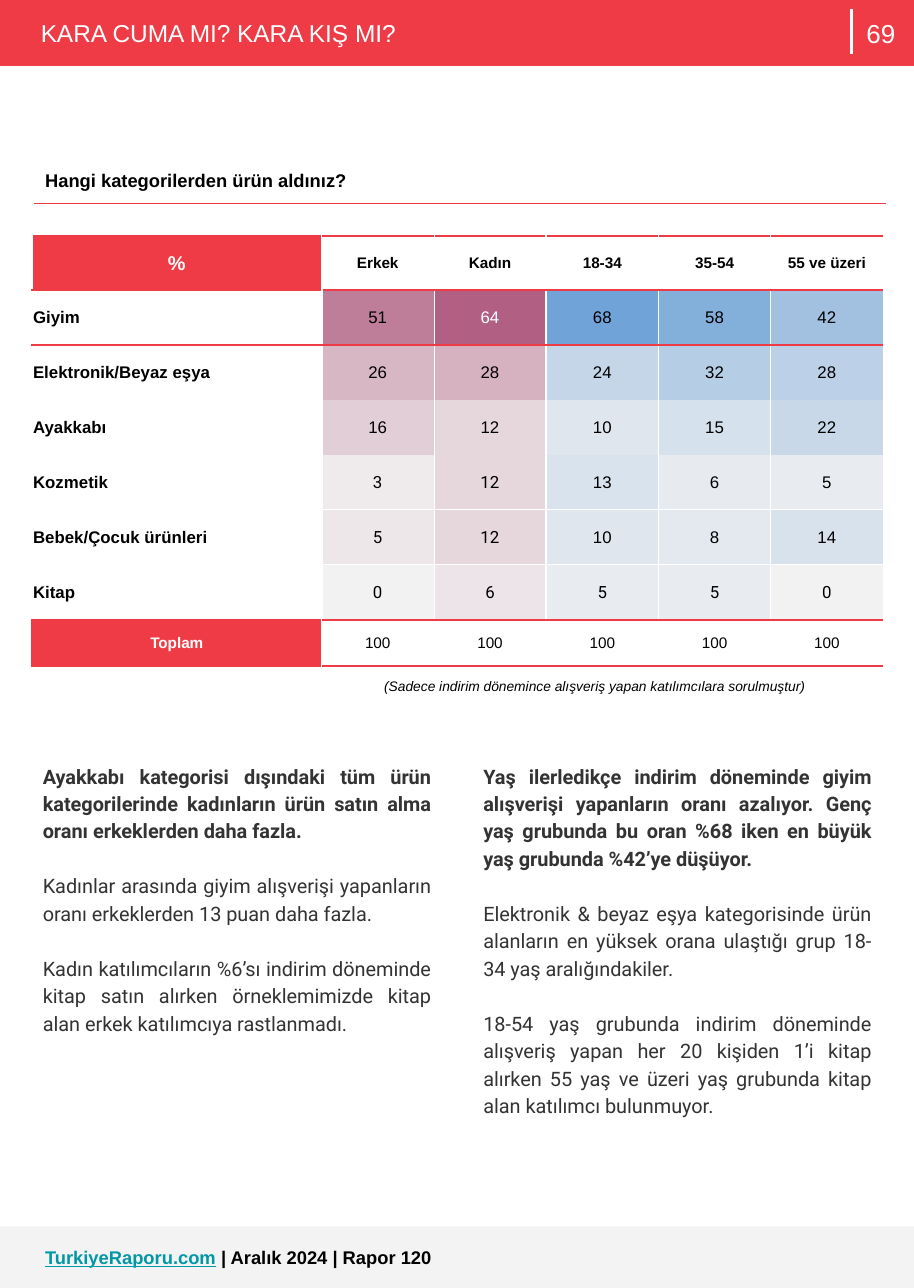
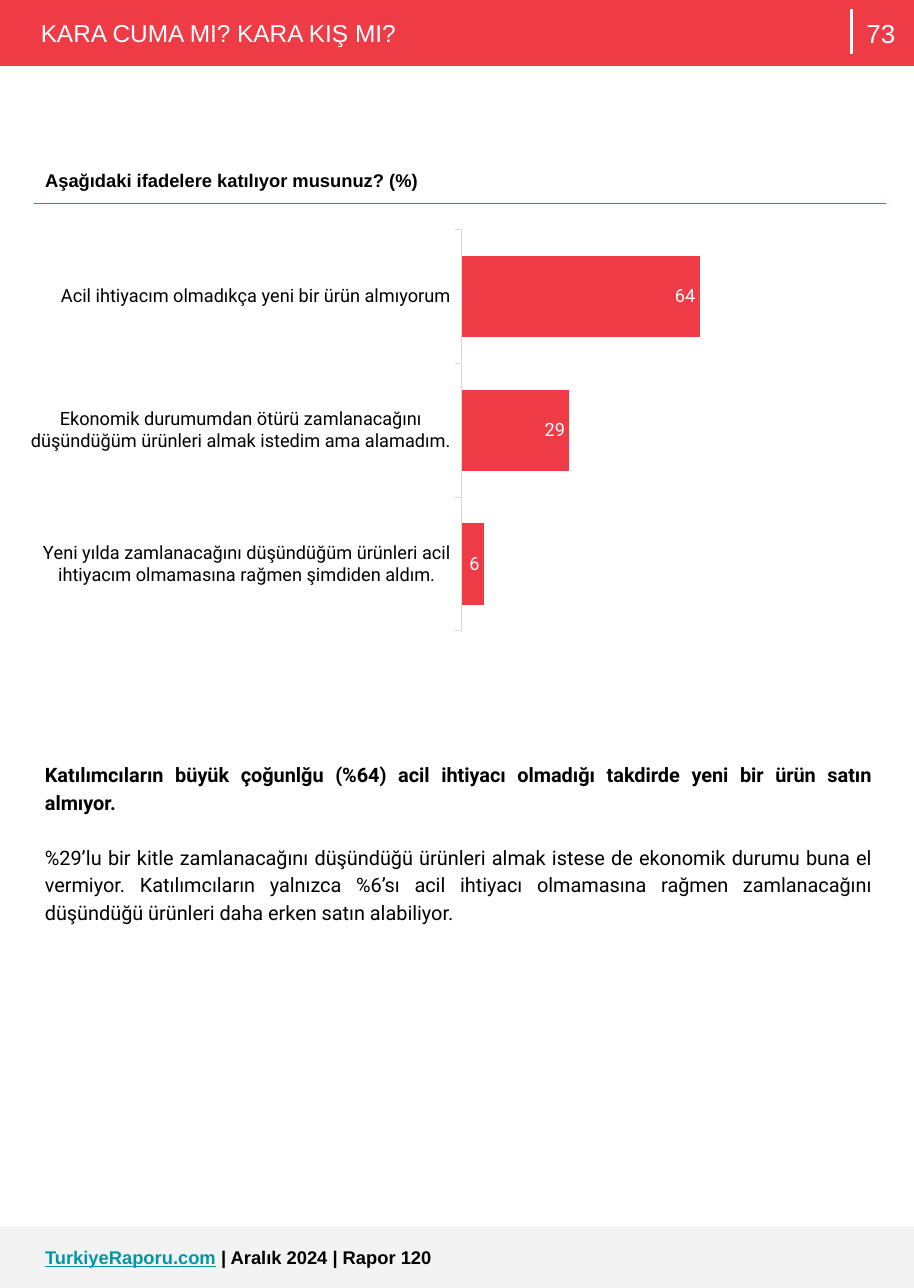
from dataclasses import dataclass, replace
from typing import Optional

from lxml.etree import SubElement
from pptx import Presentation
from pptx.chart.data import CategoryChartData
from pptx.dml.color import RGBColor
from pptx.enum.chart import XL_CHART_TYPE, XL_LABEL_POSITION, XL_TICK_MARK
from pptx.enum.shapes import MSO_CONNECTOR, MSO_SHAPE
from pptx.enum.text import MSO_ANCHOR, MSO_AUTO_SIZE, PP_ALIGN
from pptx.oxml import parse_xml
from pptx.oxml.ns import nsdecls, qn
from pptx.util import Inches, Pt

RED, GRAY, TEAL = "EF3B45", "F3F3F3", "0097A7"
WHITE, BLACK, DARK = "FFFFFF", "000000", "333333"
AXIS_GRAY, HEAT_ZERO = "D9D9D9", "F2F2F2"
PAGE_WIDTH, PAGE_HEIGHT, BAND_HEIGHT = 8.3, 11.7, 0.6
NO_GRID_STYLE = "{2D5ABB26-0587-4C30-8999-92F81FD0307C}"


@dataclass(frozen=True)
class TextStyle:
    size: float
    color: str = BLACK
    font: str = "Arial"
    bold: bool = False
    italic: bool = False
    underline: bool = False
    align: PP_ALIGN = PP_ALIGN.LEFT


@dataclass(frozen=True)
class Box:
    left: float
    top: float
    width: float
    height: float

    def lengths(self):
        return [Inches(n) for n in (self.left, self.top, self.width, self.height)]


@dataclass(frozen=True)
class Border:
    color: str
    width: float


@dataclass(frozen=True)
class HeatScale:
    peak: int
    color: str
    peak_text: str

    def fill(self, value: int) -> str:
        """Blend from the zero colour to the peak colour."""
        pairs = zip(bytes.fromhex(HEAT_ZERO), bytes.fromhex(self.color))
        return "".join(f"{round(a + (b - a) * value / self.peak):02X}" for a, b in pairs)

    def text(self, value: int) -> str:
        return self.peak_text if value == self.peak else BLACK


TITLE = TextStyle(16, WHITE)
PAGE_NUMBER = TextStyle(17, WHITE, align=PP_ALIGN.CENTER)
HEADING = TextStyle(12, bold=True)
LABEL = TextStyle(11, bold=True)
VALUE = TextStyle(11, align=PP_ALIGN.CENTER)
SMALL = TextStyle(10, align=PP_ALIGN.CENTER)
NOTE = TextStyle(9, italic=True)
BODY = TextStyle(13, font="Roboto", align=PP_ALIGN.JUSTIFY)

GENDER_SCALE = HeatScale(64, "B16083", WHITE)
AGE_SCALE = HeatScale(68, "70A3D7", BLACK)
COLUMN_SCALES = [GENDER_SCALE] * 2 + [AGE_SCALE] * 3
HEADERS = ["%", "Erkek", "Kadın", "18-34", "35-54", "55 ve üzeri"]
PURCHASES = {
    "Giyim": [51, 64, 68, 58, 42],
    "Elektronik/Beyaz eşya": [26, 28, 24, 32, 28],
    "Ayakkabı": [16, 12, 10, 15, 22],
    "Kozmetik": [3, 12, 13, 6, 5],
    "Bebek/Çocuk ürünleri": [5, 12, 10, 8, 14],
    "Kitap": [0, 6, 5, 5, 0],
}
ROBOTO_COLUMNS = {"Kozmetik": 2, "Bebek/Çocuk ürünleri": 2, "Kitap": 5}

STATEMENTS = {
    "Acil ihtiyacım olmadıkça yeni bir ürün almıyorum": 64,
    "Ekonomik durumumdan ötürü zamlanacağını düşündüğüm ürünleri almak istedim ama alamadım.": 29,
    "Yeni yılda zamlanacağını düşündüğüm ürünleri acil ihtiyacım olmamasına rağmen şimdiden aldım.": 6,
}

GENDER_TEXT = [
    "Ayakkabı kategorisi dışındaki tüm ürün kategorilerinde kadınların ürün satın alma oranı erkeklerden daha fazla.",
    "Kadınlar arasında giyim alışverişi yapanların oranı erkeklerden 13 puan daha fazla.",
    "Kadın katılımcıların %6’sı indirim döneminde kitap satın alırken örneklemimizde kitap alan erkek "
    "katılımcıya rastlanmadı.",
]
AGE_TEXT = [
    "Yaş ilerledikçe indirim döneminde giyim alışverişi yapanların oranı azalıyor. Genç yaş grubunda bu oran "
    "%68 iken en büyük yaş grubunda %42’ye düşüyor.",
    "Elektronik & beyaz eşya kategorisinde ürün alanların en yüksek orana ulaştığı grup 18-34 yaş aralığındakiler.",
    "18-54 yaş grubunda indirim döneminde alışveriş yapan her 20 kişiden 1’i kitap alırken 55 yaş ve üzeri "
    "yaş grubunda kitap alan katılımcı bulunmuyor.",
]
STATEMENT_TEXT = [
    "Katılımcıların büyük çoğunlğu (%64) acil ihtiyacı olmadığı takdirde yeni bir ürün satın almıyor.",
    "%29’lu bir kitle zamlanacağını düşündüğü ürünleri almak istese de ekonomik durumu buna el vermiyor. "
    "Katılımcıların yalnızca %6’sı acil ihtiyacı olmamasına rağmen zamlanacağını düşündüğü ürünleri daha "
    "erken satın alabiliyor.",
]


def rgb(color: str) -> RGBColor:
    return RGBColor.from_string(color)


def format_font(font, style: TextStyle) -> None:
    font.name, font.size = style.font, Pt(style.size)
    font.bold, font.italic, font.underline = style.bold, style.italic, style.underline
    font.color.rgb = rgb(style.color)


def write(paragraph, text: str, style: TextStyle) -> None:
    """Append one styled run."""
    paragraph.alignment = style.align
    run = paragraph.add_run()
    run.text = text
    format_font(run.font, style)


def set_margins(frame, left: float = 0.1, top: float = 0.1) -> None:
    frame.word_wrap = True
    frame.auto_size = MSO_AUTO_SIZE.NONE
    frame.margin_left, frame.margin_top = Inches(left), Inches(top)
    frame.margin_right = frame.margin_bottom = Inches(0.1)


def add_text(slide, box: Box, text: str, style: TextStyle, anchor=MSO_ANCHOR.TOP) -> None:
    frame = slide.shapes.add_textbox(*box.lengths()).text_frame
    set_margins(frame)
    frame.vertical_anchor = anchor
    write(frame.paragraphs[0], text, style)


def add_body(slide, box: Box, texts: list[str], color: str) -> None:
    """Justified paragraphs led by a bold one."""
    frame = slide.shapes.add_textbox(*box.lengths()).text_frame
    set_margins(frame)
    for index, text in enumerate(texts):
        paragraph = frame.add_paragraph() if index else frame.paragraphs[0]
        paragraph.line_spacing = 1.15
        if index:
            paragraph.space_before = Pt(18)
        write(paragraph, text, replace(BODY, color=color, bold=index == 0))


def add_band(slide, top: float, color: str):
    band = slide.shapes.add_shape(MSO_SHAPE.RECTANGLE, *Box(0, top, PAGE_WIDTH, BAND_HEIGHT).lengths())
    band.shadow.inherit = False
    band.fill.solid()
    band.fill.fore_color.rgb = rgb(color)
    band.line.fill.background()
    return band


def add_plain_table(slide, box: Box, rows: int, columns: int):
    frame = slide.shapes.add_table(rows, columns, *box.lengths())
    next(frame.element.iter(qn("a:tableStyleId"))).text = NO_GRID_STYLE
    frame.table.first_row = frame.table.horz_banding = False
    return frame.table


def format_cell(cell, text: str, style: TextStyle, fill: Optional[str], **borders: Optional[Border]) -> None:
    write(cell.text_frame.paragraphs[0], text, style)
    properties = cell._tc.get_or_add_tcPr()
    for side, tag in (("left", "lnL"), ("right", "lnR"), ("top", "lnT"), ("bottom", "lnB")):
        border = borders.get(side)
        if border:
            line = SubElement(properties, qn(f"a:{tag}"), w=str(int(Pt(border.width))))
            SubElement(SubElement(line, qn("a:solidFill")), qn("a:srgbClr"), val=border.color)
    if fill:
        cell.fill.solid()
        cell.fill.fore_color.rgb = rgb(fill)
    else:
        cell.fill.background()


def add_report_slide(presentation, number: int, question: str):
    """Title band, page number, question and footer."""
    slide = presentation.slides.add_slide(presentation.slide_layouts[5])
    add_band(slide, 0, RED)

    # Title, brought in front of its band
    title = slide.shapes.title
    title.left, title.top, title.width, title.height = Box(0.27, 0.06, 7.4, 0.47).lengths()
    set_margins(title.text_frame)
    title.text_frame.vertical_anchor = MSO_ANCHOR.TOP
    write(title.text_frame.paragraphs[0], "KARA CUMA MI? KARA KIŞ MI?", TITLE)
    slide.shapes.element.append(title.element)

    # Page number and its divider
    add_text(slide, Box(7.73, 0, 0.54, BAND_HEIGHT), str(number), PAGE_NUMBER, MSO_ANCHOR.MIDDLE)
    divider = slide.shapes.add_connector(
        MSO_CONNECTOR.STRAIGHT, Inches(7.73), Inches(0.08), Inches(7.73), Inches(0.49))
    divider.line.color.rgb = rgb(WHITE)
    divider.line.width = Pt(2.25)
    SubElement(divider.element.spPr, qn("a:effectLst"))

    # Question with a red rule below
    table = add_plain_table(slide, Box(0.31, 1.45, 7.74, 0.4), 1, 1)
    cell = table.cell(0, 0)
    cell.margin_left = cell.margin_top = cell.margin_right = cell.margin_bottom = Inches(0.1)
    format_cell(cell, question, HEADING, WHITE, bottom=Border(RED, 1))

    # Footer
    footer = add_band(slide, 11.14, GRAY).text_frame
    set_margins(footer, left=0.41, top=0.18)
    footer.vertical_anchor = MSO_ANCHOR.TOP
    write(footer.paragraphs[0], "TurkiyeRaporu.com", replace(HEADING, color=TEAL, underline=True))
    write(footer.paragraphs[0], " | Aralık 2024 | Rapor 120", HEADING)
    return slide


def add_heat_table(slide) -> None:
    heights = [0.49] + [0.5] * len(PURCHASES) + [0.42]
    widths = [2.63] + [1.02] * len(COLUMN_SCALES)
    table = add_plain_table(slide, Box(0.29, 2.14, sum(widths), sum(heights)), len(heights), len(widths))
    for row, height in zip(table.rows, heights):
        row.height = Inches(height)
    for column, width in zip(table.columns, widths):
        column.width = Inches(width)

    red, thin, thick = Border(RED, 1.5), Border(WHITE, 0.5), Border(WHITE, 1.5)
    last = len(heights) - 1
    contents = [HEADERS, *([name, *values] for name, values in PURCHASES.items()), ["Toplam"] + [100] * 5]
    for row, entries in enumerate(contents):
        is_body = 0 < row < last
        for column, entry in enumerate(entries):
            # Text and fill
            fill = None
            if is_body and column:
                scale = COLUMN_SCALES[column - 1]
                fill = scale.fill(entry)
                font = "Roboto" if column <= ROBOTO_COLUMNS.get(entries[0], 0) else "Arial"
                style = replace(VALUE, color=scale.text(entry), font=font)
            elif is_body:
                style = LABEL
            elif column:
                style = replace(SMALL, bold=row == 0)
            else:
                fill = RED
                style = replace(SMALL, size=10 if row else 13, color=WHITE, bold=True)

            # Borders: red around header and total, white between some body rows
            divided = {4, 5} if column < 3 else {4}
            edges = {0: red, 1: red, last: red, last + 1: red, **{edge + 1: thin for edge in divided}}
            sides = [thin] * (len(widths) + 1)
            sides[0] = red if row == last else Border(WHITE, 1)
            sides[1] = thick if is_body else thin
            sides[3] = thick
            cell = table.cell(row, column)
            cell.vertical_anchor = MSO_ANCHOR.MIDDLE
            cell.margin_left = cell.margin_top = cell.margin_right = Inches(0.01)
            cell.margin_bottom = 0
            format_cell(cell, str(entry), style, fill, left=sides[column], right=sides[column + 1],
                        top=edges.get(row), bottom=edges.get(row + 1))


def add_statement_chart(slide) -> None:
    data = CategoryChartData()
    data.categories = list(STATEMENTS)
    data.add_series("Series 1", list(STATEMENTS.values()))
    box = Box(0.28, 1.93, 7.75, 3.92)
    chart = slide.shapes.add_chart(XL_CHART_TYPE.BAR_CLUSTERED, *box.lengths(), data).chart
    chart.has_legend = chart.has_title = False
    chart_text = TextStyle(12, font="Roboto")
    format_font(chart.font, chart_text)

    # Axes
    categories, values = chart.category_axis, chart.value_axis
    categories.reverse_order = True
    categories.major_tick_mark = XL_TICK_MARK.OUTSIDE
    categories.format.line.color.rgb = rgb(AXIS_GRAY)
    categories.format.line.width = Pt(0.75)
    format_font(categories.tick_labels.font, chart_text)
    values.minimum_scale, values.maximum_scale = 0, 100
    values.has_major_gridlines = values.visible = False

    # Bars and their labels
    plot = chart.plots[0]
    plot.gap_width, plot.vary_by_categories = 65, False
    bars = plot.series[0].format.fill
    bars.solid()
    bars.fore_color.rgb = rgb(RED)
    plot.has_data_labels = True
    labels = plot.data_labels
    labels.show_value = True
    labels.position = XL_LABEL_POSITION.INSIDE_END
    format_font(labels.font, replace(chart_text, color=WHITE))

    # Fixed inner plot area
    area = next(chart.element.iter(qn("c:plotArea")))
    for layout in area.findall(qn("c:layout")):
        area.remove(layout)
    settings = dict(layoutTarget="inner", xMode="edge", yMode="edge", x=0.5, y=0.04, w=0.44, h=0.93)
    parts = "".join(f'<c:{name} val="{value}"/>' for name, value in settings.items())
    area.insert(0, parse_xml(f'<c:layout {nsdecls("c")}><c:manualLayout>{parts}</c:manualLayout></c:layout>'))


def main() -> None:
    presentation = Presentation()
    presentation.slide_width, presentation.slide_height = Inches(PAGE_WIDTH), Inches(PAGE_HEIGHT)

    # Purchases by category
    slide = add_report_slide(presentation, 69, "Hangi kategorilerden ürün aldınız?")
    add_heat_table(slide)
    add_text(slide, Box(3.39, 6.06, 4.61, 0.35),
             "(Sadece indirim dönemince alışveriş yapan katılımcılara sorulmuştur)", NOTE)
    for left, texts in ((0.29, GENDER_TEXT), (4.29, AGE_TEXT)):
        add_body(slide, Box(left, 6.81, 3.72, 3.98), texts, DARK)

    # Agreement with statements
    slide = add_report_slide(presentation, 73, "Aşağıdaki ifadelere katılıyor musunuz? (%)")
    add_statement_chart(slide)
    add_body(slide, Box(0.31, 6.8, 7.7, 3.8), STATEMENT_TEXT, BLACK)

    presentation.save("out.pptx")


if __name__ == "__main__":
    main()
